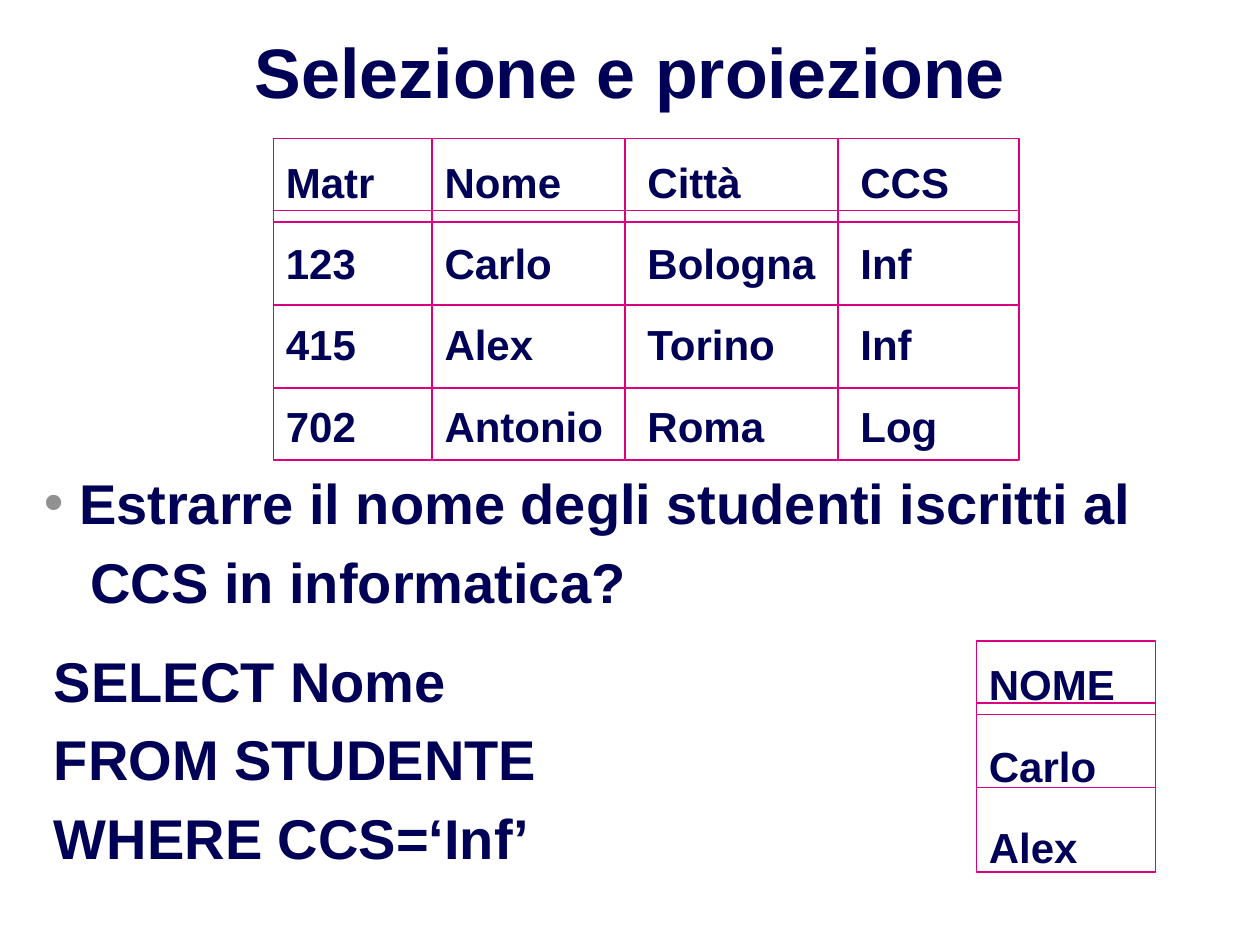
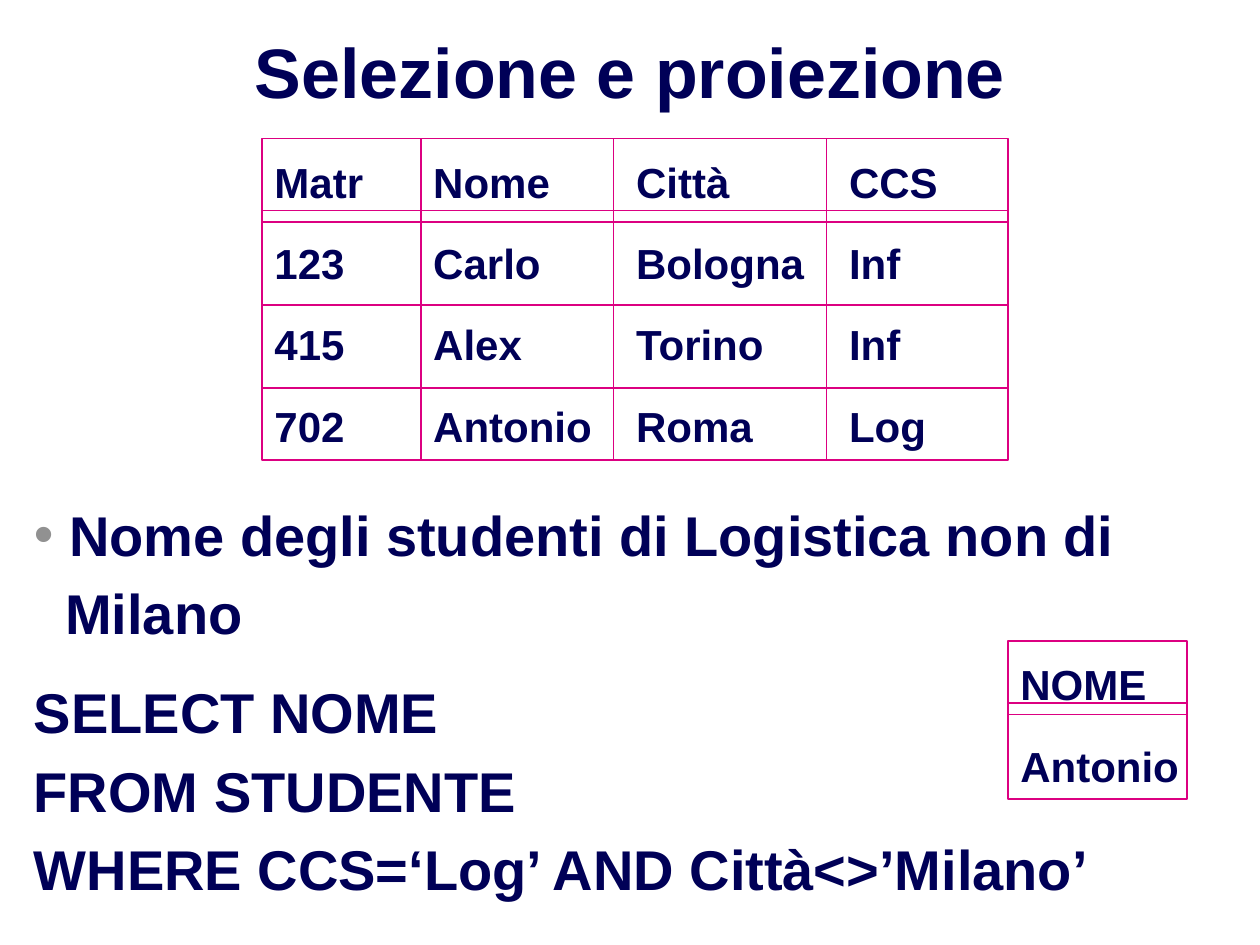
from lxml.etree import SubElement
from pptx import Presentation
from pptx.dml.color import RGBColor
from pptx.enum.shapes import MSO_CONNECTOR, MSO_SHAPE
from pptx.enum.text import MSO_ANCHOR, MSO_AUTO_SIZE, PP_ALIGN
from pptx.oxml.ns import qn
from pptx.util import Inches, Pt

NAVY = RGBColor(0x00, 0x00, 0x57)
MAGENTA = RGBColor(0xDC, 0x00, 0x81)
GRAY = RGBColor(0x91, 0x91, 0x91)
FONT = "Arial"
TITLE = "Selezione e proiezione"

STUDENTS = [
    ["Matr", "123", "415", "702"],
    ["Nome", "Carlo", "Alex", "Antonio"],
    ["Città", "Bologna", "Torino", "Roma"],
    ["CCS", "Inf", "Inf", "Log"],
]
STUDENT_TEXT_BOXES = [(0, 0.92), (1.26, 1.47), (2.87, 1.55), (4.56, 0.91)]
STUDENT_DIVIDERS = [1.26, 2.79, 4.48]

SLIDES = [
    {
        "students_left": 2.17,
        "question": ["Estrarre il nome degli studenti iscritti al", "CCS in informatica?"],
        "question_at": (0.25, 3.67),
        "second_line_indent": 0.37,
        "query": ["SELECT Nome", "FROM STUDENTE", "WHERE CCS=‘Inf’"],
        "query_at": (0.33, 5.08),
        "result": ["NOME", "Carlo", "Alex"],
        "result_left": 7.75,
        "result_text_width": 1.21,
    },
    {
        "students_left": 2.08,
        "question": ["Nome degli studenti di Logistica non di", "Milano"],
        "question_at": (0.17, 3.92),
        "second_line_indent": 0.25,
        "query": ["SELECT NOME", "FROM STUDENTE", "WHERE CCS=‘Log’ AND Città<>’Milano’"],
        "query_at": (0.17, 5.33),
        "result": ["NOME", "Antonio"],
        "result_left": 8,
        "result_text_width": 1.47,
    },
]

HEADER_GAP = 0.09
BULLET_INDENT = 0.28


def format_runs(paragraph, size):
    for run in paragraph.runs:
        run.font.name = FONT
        run.font.size = Pt(size)
        run.font.bold = True
        run.font.color.rgb = NAVY


def add_lines(shapes, lines, left, top, width, height, size, wrap, line_spacing=None):
    text_box = shapes.add_textbox(Inches(left), Inches(top), Inches(width), Inches(height))
    text_frame = text_box.text_frame
    text_frame.word_wrap = wrap
    text_frame.auto_size = MSO_AUTO_SIZE.SHAPE_TO_FIT_TEXT
    text_frame.text = "\n".join(lines)
    for paragraph in text_frame.paragraphs:
        format_runs(paragraph, size)
        properties = paragraph._p.get_or_add_pPr()
        space_before = SubElement(properties, qn("a:spcBef"))
        SubElement(space_before, qn("a:spcPct"), val="20000")
        if line_spacing:
            paragraph.line_spacing = line_spacing
    return text_frame.paragraphs


def add_body(slide, lines, position):
    height = 0.64 * len(lines) + 0.01
    return add_lines(slide.shapes, lines, *position, 9.33, height, 32, True)


def add_question(slide, lines, position, second_line_indent):
    first, second = add_body(slide, lines, position)
    properties = first._p.get_or_add_pPr()
    properties.set("marL", str(Inches(BULLET_INDENT)))
    properties.set("indent", str(-Inches(BULLET_INDENT)))
    bullet_color = SubElement(properties, qn("a:buClr"))
    SubElement(bullet_color, qn("a:srgbClr"), val=str(GRAY))
    SubElement(properties, qn("a:buFont"), typeface=FONT)
    SubElement(properties, qn("a:buChar"), char="•")
    second._p.get_or_add_pPr().set("marL", str(Inches(second_line_indent)))


def add_rule(shapes, x1, y1, x2, y2):
    rule = shapes.add_connector(
        MSO_CONNECTOR.STRAIGHT, Inches(x1), Inches(y1), Inches(x2), Inches(y2)
    )
    rule.line.color.rgb = MAGENTA
    rule.line.width = Pt(1)
    SubElement(rule._element.spPr, qn("a:effectLst"))


def add_ruled_table(slide, columns, text_boxes, dividers, left, top, width, height, pitch):
    shapes = slide.shapes.add_group_shape().shapes
    rows = len(columns[0])
    frame = shapes.add_shape(
        MSO_SHAPE.RECTANGLE, Inches(left), Inches(top), Inches(width), Inches(height)
    )
    frame.shadow.inherit = False
    frame.fill.background()
    frame.line.color.rgb = MAGENTA
    frame.line.width = Pt(1)
    for offset in [pitch - HEADER_GAP] + [pitch * row for row in range(1, rows)]:
        add_rule(shapes, left, top + offset, left + width, top + offset)
    for offset in dividers:
        add_rule(shapes, left + offset, top, left + offset, top + height)
    for column, (offset, text_width) in zip(columns, text_boxes):
        text_height = 0.67 * rows - 0.05
        add_lines(shapes, column, left + offset, top - HEADER_GAP, text_width,
                  text_height, 24, False, 1.45)


def add_title(slide):
    title = slide.shapes.title
    title.left, title.top = Inches(0), Inches(0.2)
    title.width, title.height = Inches(10), Inches(0.83)
    title.text_frame.text = TITLE
    title.text_frame.vertical_anchor = MSO_ANCHOR.MIDDLE
    paragraph = title.text_frame.paragraphs[0]
    paragraph.alignment = PP_ALIGN.CENTER
    paragraph.line_spacing = 0.85
    format_runs(paragraph, 40)


def main():
    presentation = Presentation()
    presentation.slide_width = Inches(10)
    presentation.slide_height = Inches(7.5)
    for content in SLIDES:
        slide = presentation.slides.add_slide(presentation.slide_layouts[5])
        add_title(slide)
        add_ruled_table(slide, STUDENTS, STUDENT_TEXT_BOXES, STUDENT_DIVIDERS,
                        content["students_left"], 1.1, 5.92, 2.55, 0.66)
        add_question(slide, content["question"], content["question_at"],
                     content["second_line_indent"])
        add_body(slide, content["query"], content["query_at"])
        result = content["result"]
        add_ruled_table(slide, [result], [(0, content["result_text_width"])], [],
                        content["result_left"], 5.09, 1.42,
                        0.58 * len(result) + HEADER_GAP, 0.58)
    presentation.save("out.pptx")


if __name__ == "__main__":
    main()
